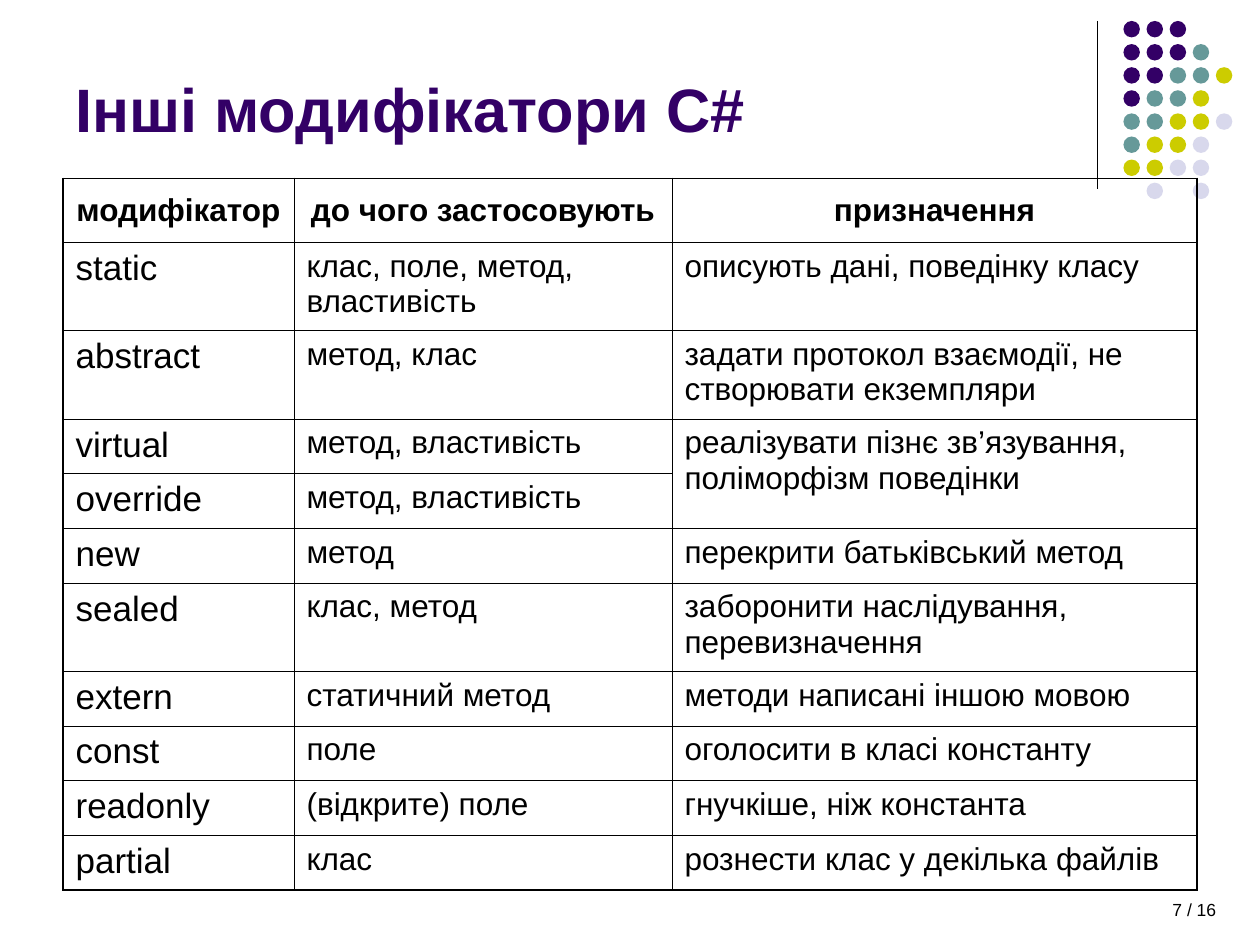
from dataclasses import dataclass

from lxml import etree
from pptx import Presentation
from pptx.dml.color import RGBColor
from pptx.enum import shapes, text
from pptx.oxml import ns
from pptx.util import Pt


@dataclass(frozen=True)
class Theme:
    font: str = "Arial"
    ink: str = "000000"
    accent: str = "330066"
    dots: tuple = ("330066", "669999", "CCCC00", "D8D8EC")
    title: float = 35
    keyword: float = 20
    body: float = 18
    footer: float = 10
    outer: float = 1.08
    inner: float = 0.45
    rule: float = 0.75


THEME = Theme()

DOT_ROWS = ("000", "0001", "00112", "0112", "11223", "1223", "2233", " 3 3")

HEADINGS = ("модифікатор", "до чого застосовують", "призначення")
MODIFIERS = (
    ("static", "клас, поле, метод, властивість", "описують дані, поведінку класу"),
    ("abstract", "метод, клас", "задати протокол взаємодії, не створювати екземпляри"),
    ("virtual", "метод, властивість", "реалізувати пізнє зв’язування, поліморфізм поведінки"),
    ("override", "метод, властивість", ""),
    ("new", "метод", "перекрити батьківський метод"),
    ("sealed", "клас, метод", "заборонити наслідування, перевизначення"),
    ("extern", "статичний метод", "методи написані іншою мовою"),
    ("const", "поле", "оголосити в класі константу"),
    ("readonly", "(відкрите) поле", "гнучкіше, ніж константа"),
    ("partial", "клас", "рознести клас у декілька файлів"),
)
COLUMN_WIDTHS = (132, 216, 300)
HEADING_HEIGHT, TALL_HEIGHT, SHORT_HEIGHT = 36.6, 50.4, 31.1
TALL_MODIFIERS = {"static", "abstract", "sealed"}


def style(frame, size, color, align, bold=False, before=0):
    for paragraph in frame.paragraphs:
        paragraph.alignment = align
        paragraph.space_before = Pt(before)
        for run in paragraph.runs:
            run.font.name = THEME.font
            run.font.size = Pt(size)
            run.font.bold = bold
            run.font.color.rgb = RGBColor.from_string(color)


def add_label(slide, box, words, size, color, align, anchor, bold=False):
    frame = slide.shapes.add_textbox(*map(Pt, box)).text_frame
    frame.word_wrap = True
    frame.vertical_anchor = anchor
    frame.text = words
    style(frame, size, color, align, bold)


def add_divider(slide, left, top, length):
    divider = slide.shapes.add_connector(
        shapes.MSO_CONNECTOR.STRAIGHT, Pt(left), Pt(top), Pt(left), Pt(top + length))
    divider.line.color.rgb = RGBColor.from_string(THEME.ink)
    divider.line.width = Pt(THEME.rule)
    etree.SubElement(divider._element.spPr, ns.qn("a:effectLst"))


def add_dots(slide, left, top, pitch=13.2, diameter=9.4):
    cluster = slide.shapes.add_group_shape()
    for row, tones in enumerate(DOT_ROWS):
        for column, tone in enumerate(tones):
            if tone == " ":
                continue
            dot = cluster.shapes.add_shape(
                shapes.MSO_SHAPE.OVAL, Pt(left + column * pitch), Pt(top + row * pitch),
                Pt(diameter), Pt(diameter))
            dot.shadow.inherit = False
            dot.fill.solid()
            dot.fill.fore_color.rgb = RGBColor.from_string(THEME.dots[int(tone)])
            dot.line.fill.background()


def set_borders(cell, outer_sides):
    properties = cell._tc.get_or_add_tcPr()
    for side in "LRTB":
        width = THEME.outer if side in outer_sides else THEME.inner
        border = etree.SubElement(properties, ns.qn(f"a:ln{side}"), w=str(int(Pt(width))))
        fill = etree.SubElement(border, ns.qn("a:solidFill"))
        etree.SubElement(fill, ns.qn("a:srgbClr"), val=THEME.ink)


def add_modifier_table(slide, left, top):
    entries = (HEADINGS,) + MODIFIERS
    heights = [HEADING_HEIGHT] + [
        TALL_HEIGHT if entry[0] in TALL_MODIFIERS else SHORT_HEIGHT for entry in MODIFIERS]
    table = slide.shapes.add_table(
        len(entries), len(HEADINGS), Pt(left), Pt(top),
        Pt(sum(COLUMN_WIDTHS)), Pt(sum(heights))).table
    table.first_row = table.horz_banding = False
    for column, width in zip(table.columns, COLUMN_WIDTHS):
        column.width = Pt(width)
    for row, height in zip(table.rows, heights):
        row.height = Pt(height)

    last_row, last_column = len(entries) - 1, len(HEADINGS) - 1
    for r, entry in enumerate(entries):
        for c, words in enumerate(entry):
            cell = table.cell(r, c)
            cell.text = words
            heading = r == 0
            keyword = c == 0 and not heading
            cell.vertical_anchor = text.MSO_ANCHOR.MIDDLE if heading else text.MSO_ANCHOR.TOP
            style(cell.text_frame, THEME.keyword if keyword else THEME.body, THEME.ink,
                  text.PP_ALIGN.CENTER if heading else text.PP_ALIGN.LEFT,
                  bold=heading, before=5 if keyword else 4.5)
            edges = {"L": c == 0, "R": c == last_column, "T": heading, "B": r == last_row}
            set_borders(cell, [side for side, outer in edges.items() if outer])
            cell.fill.background()

    virtual_row = [entry[0] for entry in entries].index("virtual")
    table.cell(virtual_row, last_column).merge(table.cell(virtual_row + 1, last_column))


def main():
    deck = Presentation()
    deck.slide_width, deck.slide_height = Pt(720), Pt(540)
    slide = deck.slides.add_slide(deck.slide_layouts[6])
    add_divider(slide, 627, 12, 96)
    add_dots(slide, 642, 12)
    add_label(slide, (516, 510, 186, 18), "7 / 16", THEME.footer, THEME.ink,
              text.PP_ALIGN.RIGHT, text.MSO_ANCHOR.TOP)
    add_label(slide, (36, 24, 594, 62.5), "Інші модифікатори С#", THEME.title, THEME.accent,
              text.PP_ALIGN.LEFT, text.MSO_ANCHOR.BOTTOM, bold=True)
    add_modifier_table(slide, 36, 102)
    deck.save("out.pptx")


if __name__ == "__main__":
    main()
